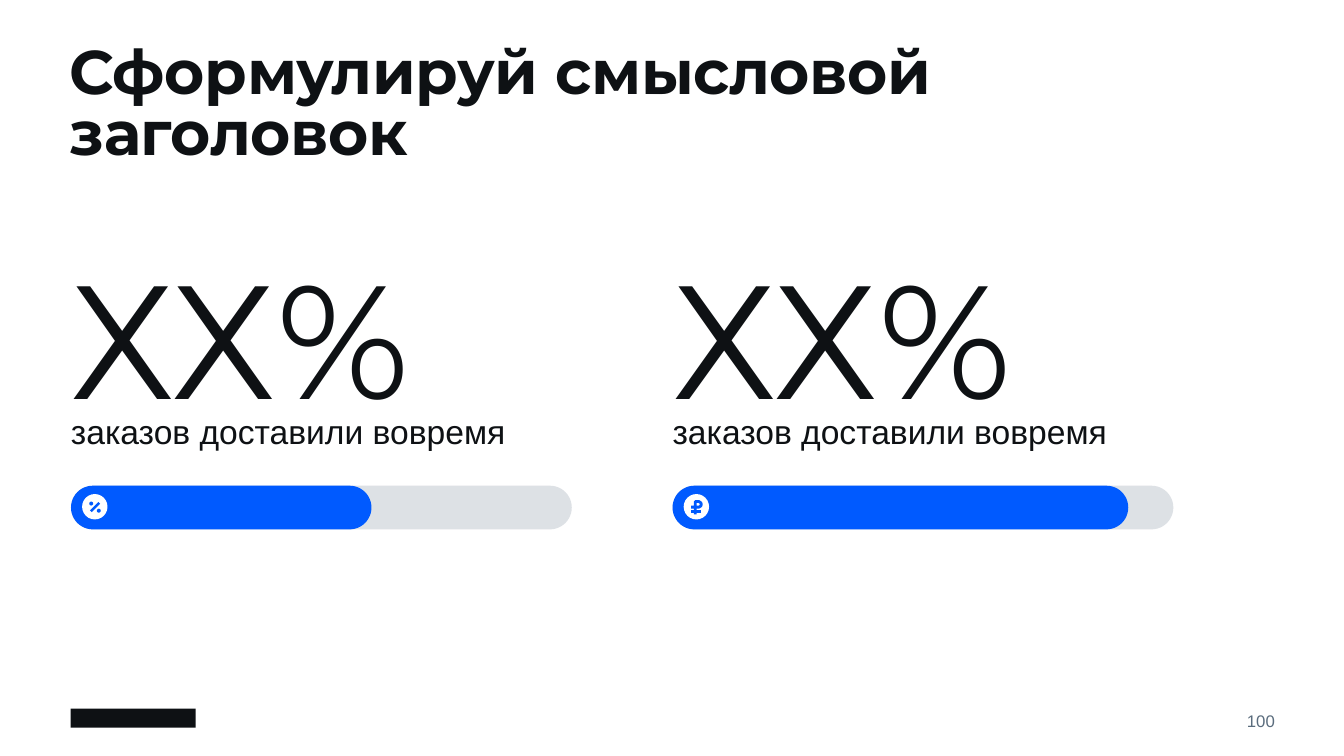
import math

from lxml import etree
from pptx import Presentation
from pptx import util as u
from pptx.dml.color import RGBColor
from pptx.enum import shapes, text
from pptx.oxml.ns import qn

INK = RGBColor(0x0E, 0x11, 0x14)
GRAY = RGBColor(0x5A, 0x6C, 0x7D)
TRACK = RGBColor(0xD5, 0xDA, 0xDF)
BLUE = RGBColor(0x00, 0x5A, 0xFF)
WHITE = RGBColor(0xFF, 0xFF, 0xFF)
Kind = shapes.MSO_SHAPE


def set_text(box, words, size, face, color=INK, space=None):
    frame = box.text_frame
    frame.margin_left = frame.margin_right = 0
    frame.margin_top = frame.margin_bottom = 0
    frame.word_wrap = True
    frame.auto_size = text.MSO_AUTO_SIZE.NONE
    frame.vertical_anchor = text.MSO_ANCHOR.TOP
    frame.text = words
    para = frame.paragraphs[0]
    para.alignment = text.PP_ALIGN.LEFT
    para.line_spacing = space
    para.font.size = u.Pt(size)
    para.font.name = face
    para.font.color.rgb = color
    return para


def add_label(slide, x, y, w, h, *style, **more):
    box = slide.shapes.add_textbox(u.Cm(x), u.Cm(y), u.Cm(w), u.Cm(h))
    return box, set_text(box, *style, **more)


def add_solid(slide, kind, x, y, w, h, color):
    shape = slide.shapes.add_shape(kind, u.Cm(x), u.Cm(y), u.Cm(w), u.Cm(h))
    shape.shadow.inherit = False
    shape.fill.solid()
    shape.fill.fore_color.rgb = color
    shape.line.fill.background()
    return shape


def add_pill(slide, x, y, w, h, color):
    pill = add_solid(slide, Kind.ROUNDED_RECTANGLE, x, y, w, h, color)
    pill.adjustments[0] = 0.5
    return pill


def draw_percent(slide, x, y):
    for cx, cy in ((0.23, 0.24), (0.42, 0.42)):
        add_solid(slide, Kind.OVAL, x + cx - 0.05, y + cy - 0.05, 0.1, 0.1, BLUE)
    slash = slide.shapes.add_connector(
        shapes.MSO_CONNECTOR.STRAIGHT,
        u.Cm(x + 0.22), u.Cm(y + 0.43), u.Cm(x + 0.43), u.Cm(y + 0.22))
    slash.line.color.rgb = BLUE
    slash.line.width = u.Pt(1.75)
    etree.SubElement(slash._element.spPr, qn("a:effectLst"))


def draw_ruble(slide, x, y):
    # Stem and bowl, then the lower dash, in hundredths of a centimetre
    bowl = [(37 + 7 * math.sin(math.radians(a)), 26 - 7 * math.cos(math.radians(a)))
            for a in range(0, 181, 15)]
    pen = slide.shapes.build_freeform(29, 51, scale=u.Cm(0.01))
    pen.add_line_segments([(29, 19), *bowl, (19, 33)], close=False)
    pen.move_to(19, 44)
    pen.add_line_segments([(44, 44)], close=False)
    sign = pen.convert_to_shape(u.Cm(x), u.Cm(y))
    sign.shadow.inherit = False
    sign.fill.background()
    sign.line.color.rgb = BLUE
    sign.line.width = u.Pt(2)


def add_metric(slide, x, y, w, share, draw):
    # Figure and caption
    add_label(slide, x, y, w, 4.52, "ХХ%", 115, "Montserrat")
    add_label(slide, x, y + 4.5, 11.58, 1.04,
              "заказов доставили вовремя", 24, "Arial", space=0.85)
    # Progress bar
    top = y + 6.22
    track = add_pill(slide, x, top, w, 1.1, TRACK)
    tint = track._element.spPr.find(".//" + qn("a:srgbClr"))
    etree.SubElement(tint, qn("a:alpha"), val="80000")
    add_pill(slide, x, top, w * share, 1.1, BLUE)
    # Round badge
    add_solid(slide, Kind.OVAL, x + 0.28, top + 0.21, 0.64, 0.64, WHITE)
    draw(slide, x + 0.28, top + 0.21)


def add_title(slide, x, y, w, h):
    title = slide.shapes.title
    title.left, title.top = u.Cm(x), u.Cm(y)
    title.width, title.height = u.Cm(w), u.Cm(h)
    para = set_text(title, "Сформулируй смысловой заголовок",
                    44, "Montserrat", space=0.82)
    para.font.bold = True
    para.runs[0].font._element.set("spc", "-30")


def add_footer(slide, x, y, w):
    # Plain brand mark and page number
    add_solid(slide, Kind.RECTANGLE, x, y, 3.15, 0.48, INK)
    box, para = add_label(slide, x + w - 2.51, y, 2.51, 0.61,
                          "100", 12, "Arial", color=GRAY)
    box.text_frame.vertical_anchor = text.MSO_ANCHOR.MIDDLE
    para.alignment = text.PP_ALIGN.RIGHT


def main():
    deck = Presentation()
    deck.slide_width, deck.slide_height = u.Cm(33.87), u.Cm(19.05)
    slide = deck.slides.add_slide(deck.slide_layouts[5])
    add_title(slide, 1.76, 1.17, 30.3, 2.18)
    for i, (share, draw) in enumerate(((0.6, draw_percent), (0.91, draw_ruble))):
        add_metric(slide, 1.79 + i * 15.16, 6.02, 12.62, share, draw)
    add_footer(slide, 1.78, 17.86, 30.35)
    deck.save("out.pptx")


if __name__ == "__main__":
    main()
